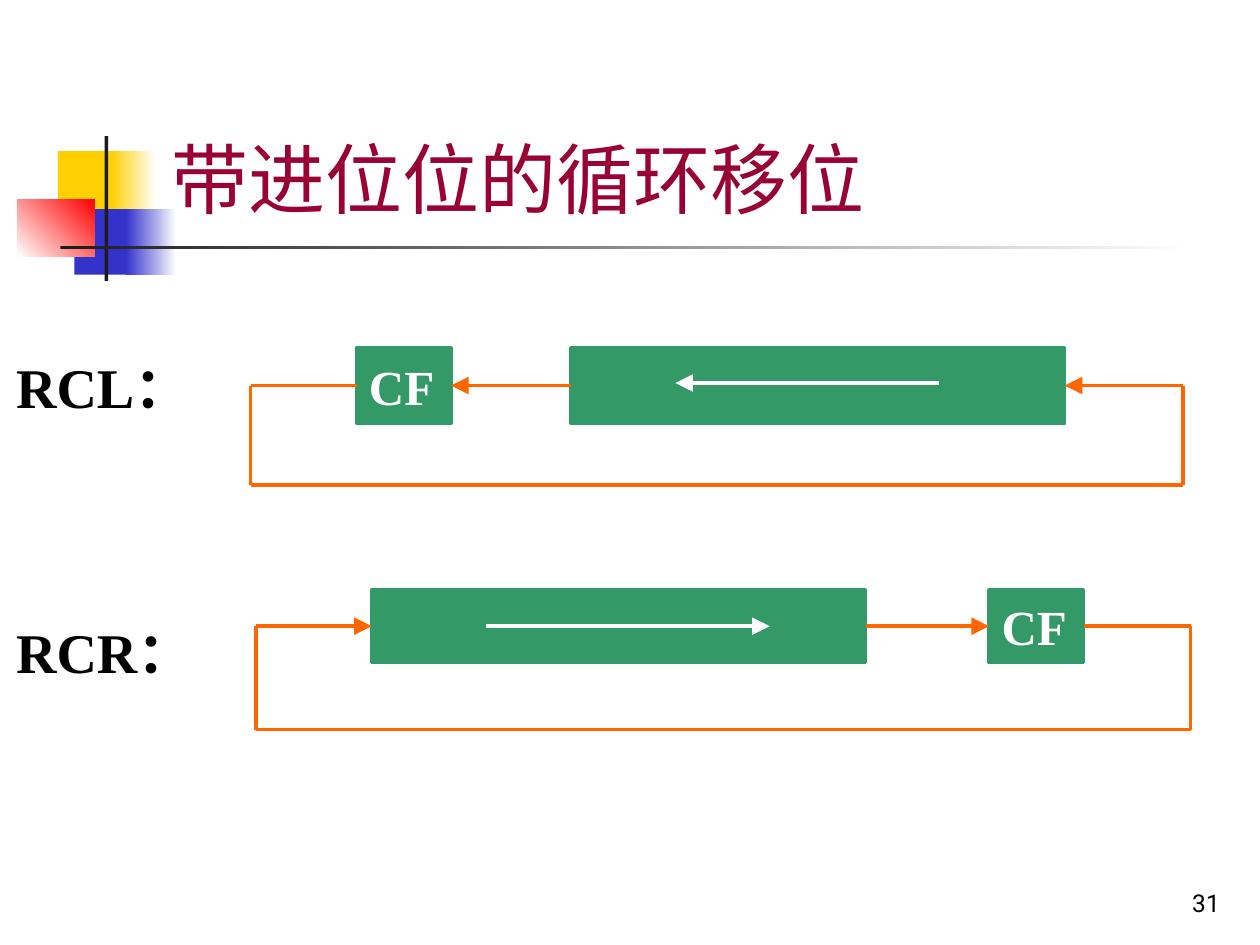
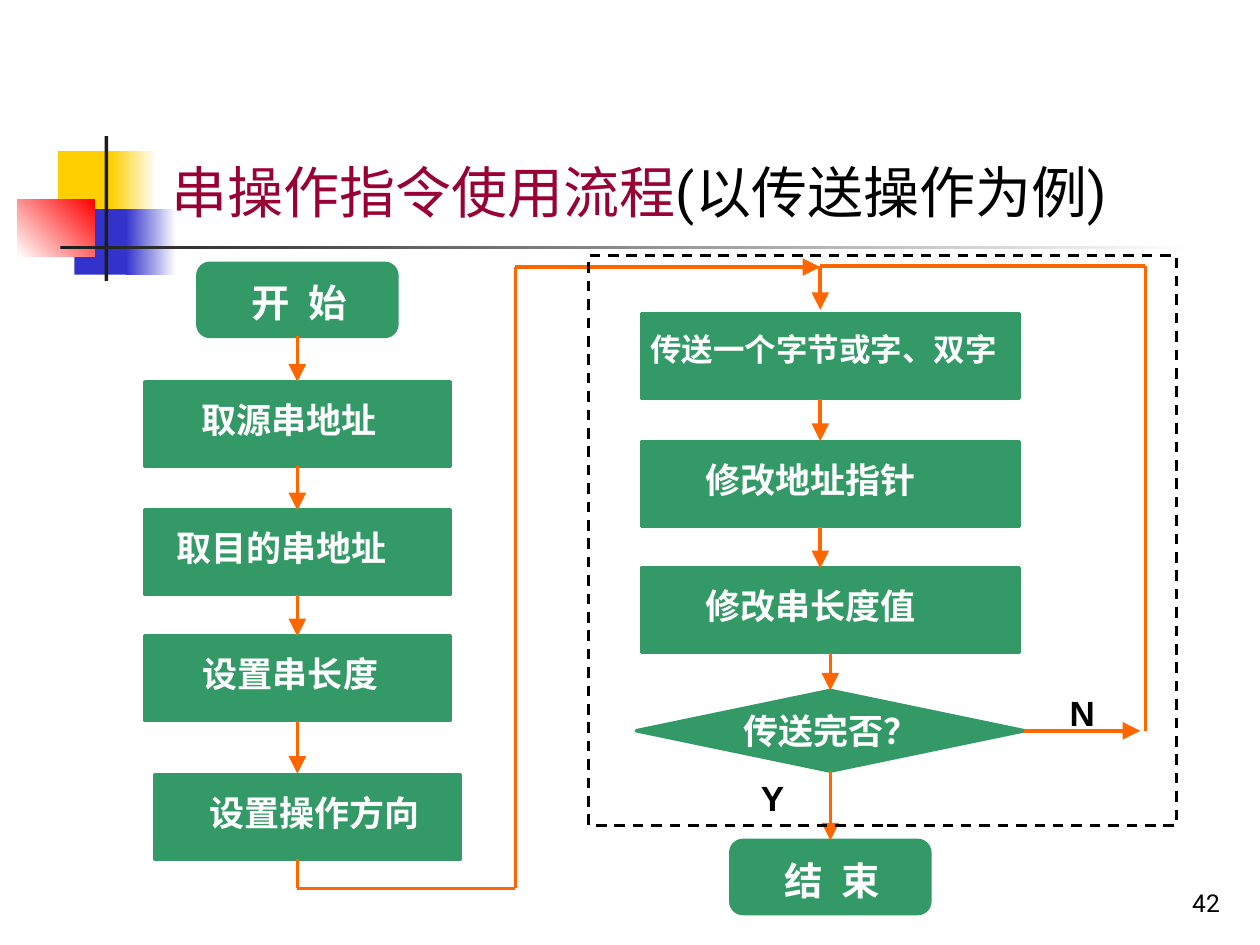
from dataclasses import dataclass
from itertools import pairwise
from typing import NamedTuple

from lxml.etree import SubElement
from pptx import Presentation
from pptx.dml.color import RGBColor
from pptx.enum.dml import MSO_LINE
from pptx.enum.shapes import MSO_CONNECTOR, MSO_SHAPE
from pptx.enum.text import MSO_ANCHOR, MSO_AUTO_SIZE, PP_ALIGN
from pptx.oxml.ns import qn
from pptx.shapes.autoshape import Shape
from pptx.shapes.connector import Connector
from pptx.slide import Slide, SlideLayout
from pptx.text.text import TextFrame, _Paragraph
from pptx.util import Inches, Pt

GREEN, ORANGE, WHITE, BLACK = "339966", "FF6600", "FFFFFF", "000000"
MAROON, YELLOW, BLUE, RED, CHARCOAL = "990033", "FFCF01", "3333CC", "FF0000", "1C1C1C"
TITLE_FONT, LABEL_FONT, SYMBOL_FONT = "Roboto", "Times New Roman", "Arial"
TOP, LEFT, BOTTOM, RIGHT = range(4)


class Box(NamedTuple):
    left: float
    top: float
    width: float
    height: float


class Point(NamedTuple):
    x: float
    y: float


class Site(NamedTuple):
    """The middle of one side of a shape."""
    shape: Shape
    side: int

    def point(self) -> Point:
        shape = self.shape
        across = {LEFT: 0, RIGHT: 1}.get(self.side, 0.5)
        down = {TOP: 0, BOTTOM: 1}.get(self.side, 0.5)
        return Point((shape.left + across * shape.width) / Inches(1),
                     (shape.top + down * shape.height) / Inches(1))


class TextRun(NamedTuple):
    text: str
    size: float
    color: str = WHITE
    font: str = LABEL_FONT
    bold: bool = True
    spacing: int = 0  # hundredths of a point


class Ornament(NamedTuple):
    box: Box
    start: str
    end: str = ""
    angle: float = 0


@dataclass
class Step:
    text: str
    box: Box
    inset: float
    size: float = 20
    geometry: MSO_SHAPE = MSO_SHAPE.RECTANGLE
    inset_top: float = 0.13
    spacing: int = 0


ORNAMENTS = [
    Ornament(Box(0.46, 1.2, 0.48, 0.52), YELLOW),
    Ornament(Box(0.88, 1.2, 0.36, 0.52), YELLOW, WHITE),
    Ornament(Box(0.59, 1.66, 0.46, 0.52), BLUE),
    Ornament(Box(1, 1.66, 0.4, 0.52), BLUE, WHITE),
    Ornament(Box(0.14, 1.58, 0.61, 0.46), WHITE, RED, 45),
    Ornament(Box(0.83, 1.08, 0.03, 1.15), CHARCOAL),
    Ornament(Box(0.48, 1.95, 9, 0.03), CHARCOAL, WHITE),
]


def rgb(color: str) -> RGBColor:
    return RGBColor.from_string(color)


def inches(box: Box) -> list[Inches]:
    return [Inches(value) for value in box]


def add_runs(paragraph: _Paragraph, runs: list[TextRun]) -> None:
    for item in runs:
        run = paragraph.add_run()
        run.text = item.text
        run.font.size = Pt(item.size)
        run.font.name = item.font
        run.font.bold = item.bold
        run.font.color.rgb = rgb(item.color)
        if item.spacing:
            run.font._element.set("spc", str(item.spacing))


def fill_frame(frame: TextFrame, runs: list[TextRun], anchor: MSO_ANCHOR = MSO_ANCHOR.TOP,
               alignment: PP_ALIGN = PP_ALIGN.LEFT) -> None:
    frame.word_wrap = True
    frame.auto_size = MSO_AUTO_SIZE.NONE
    frame.vertical_anchor = anchor
    frame.paragraphs[0].alignment = alignment
    add_runs(frame.paragraphs[0], runs)


def add_text(slide: Slide, box: Box, runs: list[TextRun], **options) -> None:
    fill_frame(slide.shapes.add_textbox(*inches(box)).text_frame, runs, **options)


def add_block(slide: Slide, box: Box, geometry: MSO_SHAPE = MSO_SHAPE.RECTANGLE) -> Shape:
    shape = slide.shapes.add_shape(geometry, *inches(box))
    shape.shadow.inherit = False
    shape.fill.solid()
    shape.fill.fore_color.rgb = rgb(GREEN)
    shape.line.color.rgb = rgb(GREEN)
    shape.line.width = Pt(2)
    return shape


def add_step(slide: Slide, step: Step) -> Shape:
    shape = add_block(slide, step.box, step.geometry)
    frame = shape.text_frame
    fill_frame(frame, [TextRun(step.text, step.size, spacing=step.spacing)])
    frame.margin_left, frame.margin_top = Inches(step.inset), Inches(step.inset_top)
    frame.margin_right = frame.margin_bottom = 0
    return shape


def add_line(slide: Slide, start: Point, end: Point, color: str, arrow: bool) -> Connector:
    line = slide.shapes.add_connector(
        MSO_CONNECTOR.STRAIGHT, *[Inches(value) for value in (*start, *end)])
    line.line.color.rgb = rgb(color)
    line.line.width = Pt(2)
    if arrow:
        SubElement(line.line._get_or_add_ln(), qn("a:tailEnd"), type="triangle", w="lg", len="lg")
    SubElement(line._element.spPr, qn("a:effectLst"))
    return line


def add_route(slide: Slide, *stops: Point | Site, color: str = ORANGE, arrow: bool = True) -> None:
    """Draw straight lines through the stops, joined to shapes at each Site."""
    last = len(stops) - 2
    for index, (start, end) in enumerate(pairwise(stops)):
        ends = [stop.point() if isinstance(stop, Site) else stop for stop in (start, end)]
        line = add_line(slide, *ends, color, arrow and index == last)
        if isinstance(start, Site):
            line.begin_connect(*start)
        if isinstance(end, Site):
            line.end_connect(*end)


def decorate_layout(layout: SlideLayout, slide: Slide) -> None:
    """Build the ornaments on the slide, then move them to its layout."""
    for position, ornament in enumerate(ORNAMENTS, start=2):
        shape = slide.shapes.add_shape(MSO_SHAPE.RECTANGLE, *inches(ornament.box))
        shape.shadow.inherit = False
        shape.line.fill.background()
        if ornament.end:
            shape.fill.gradient()
            shape.fill.gradient_angle = ornament.angle
            for stop, color in zip(shape.fill.gradient_stops, (ornament.start, ornament.end)):
                stop.color.rgb = rgb(color)
        else:
            shape.fill.solid()
            shape.fill.fore_color.rgb = rgb(ornament.start)
        layout.shapes._spTree.insert(position, shape._element)


def start_slide(slide: Slide, title_box: Box, title: list[TextRun], number: str) -> None:
    placeholder = slide.shapes.title
    placeholder.left, placeholder.top, placeholder.width, placeholder.height = inches(title_box)
    fill_frame(placeholder.text_frame, title, MSO_ANCHOR.BOTTOM)
    add_text(slide, Box(7.7, 6.83, 2.08, 0.5), [TextRun(number, 14, BLACK, TITLE_FONT, False)],
             anchor=MSO_ANCHOR.BOTTOM, alignment=PP_ALIGN.RIGHT)


def add_rotation(slide: Slide, name: str, name_top: float, register_box: Box,
                 flag_box: Box) -> tuple[Shape, Shape]:
    """Add the instruction name, the register and the carry flag."""
    add_text(slide, Box(0.03, name_top, 1.73, 0.64),
             [TextRun(name, 32, BLACK), TextRun("：", 32, BLACK, SYMBOL_FONT)])
    register = add_block(slide, register_box)
    flag = add_block(slide, flag_box)
    fill_frame(flag.text_frame, [TextRun("CF", 28)], MSO_ANCHOR.MIDDLE)
    return register, flag


def build_rotation_slide(slide: Slide) -> None:
    start_slide(slide, Box(1.26, 0.23, 8.52, 1.6),
                [TextRun("带进位位的循环移位", 44, MAROON, TITLE_FONT, False)], "31")

    register, flag = add_rotation(
        slide, "RCL", 2.75, Box(4.53, 2.76, 3.92, 0.6), Box(2.83, 2.76, 0.75, 0.6))
    add_route(slide, Point(7.45, 3.04), Point(5.36, 3.04), color=WHITE)
    add_route(slide, Site(register, LEFT), Site(flag, RIGHT))
    add_route(slide, Site(flag, LEFT), Point(1.99, 3.06), Point(1.99, 3.85),
              Point(9.39, 3.85), Point(9.39, 3.06), Site(register, RIGHT))

    register, flag = add_rotation(
        slide, "RCR", 4.85, Box(2.95, 4.68, 3.92, 0.58), Box(7.85, 4.68, 0.75, 0.58))
    add_route(slide, Point(3.86, 4.97), Point(6.11, 4.97), color=WHITE)
    add_route(slide, Site(register, RIGHT), Site(flag, LEFT))
    add_route(slide, Site(flag, RIGHT), Point(9.45, 4.97), Point(9.45, 5.79),
              Point(2.03, 5.79), Point(2.03, 4.97), Site(register, LEFT))


def build_string_slide(slide: Slide) -> None:
    start_slide(slide, Box(1.26, 0.78, 8.52, 1.05),
                [TextRun("串操作指令使用流程", 32, MAROON, TITLE_FONT, False),
                 TextRun("(以传送操作为例)", 32, BLACK, TITLE_FONT, False)], "42")

    terminal = {"inset": 0.4, "size": 22, "inset_top": 0.1, "spacing": 275,
                "geometry": MSO_SHAPE.FLOWCHART_ALTERNATE_PROCESS}
    setup = [add_step(slide, step) for step in (
        Step("开 始", Box(1.57, 2.09, 1.58, 0.58), **terminal),
        Step("取源串地址", Box(1.15, 3.03, 2.42, 0.67), 0.45),
        Step("取目的串地址", Box(1.15, 4.05, 2.42, 0.67), 0.25),
        Step("设置串长度", Box(1.15, 5.05, 2.42, 0.67), 0.46),
    )]
    add_step(slide, Step("设置操作方向", Box(1.23, 6.15, 2.42, 0.67), 0.43))
    transfer, pointer, length, decision, finish = [add_step(slide, step) for step in (
        Step("传送一个字节或字、双字", Box(5.09, 2.49, 3, 0.67), 0.07, 18),
        Step("修改地址指针", Box(5.09, 3.51, 3, 0.67), 0.51),
        Step("修改串长度值", Box(5.09, 4.51, 3, 0.67), 0.51),
        Step("", Box(5.05, 5.48, 3.08, 0.64), 0, geometry=MSO_SHAPE.FLOWCHART_DECISION),
        Step("结 束", Box(5.8, 6.67, 1.58, 0.58), **terminal),
    )]
    add_text(slide, Box(5.8, 5.58, 1.65, 0.43), [TextRun("传送完否？", 20)])

    for upper, lower in [*pairwise(setup), (length, decision), (decision, finish)]:
        add_route(slide, Site(upper, BOTTOM), Site(lower, TOP))
    setup_x, loop_x, loop_top = 2.36, 6.51, 2.11
    add_route(slide, Site(setup[-1], BOTTOM), Point(setup_x, 6.14))
    for start, end in ((loop_top, 2.46), (3.17, 3.5), (4.18, 4.51)):
        add_route(slide, Point(loop_x, start), Point(loop_x, end))
    add_route(slide, Point(setup_x, 6.82), Point(setup_x, 7.05), Point(4.09, 7.05),
              Point(4.09, 2.12), Point(loop_x, 2.12))
    add_route(slide, Site(decision, RIGHT), Point(9.05, 5.8))
    add_route(slide, Point(9.09, 5.8), Point(9.09, loop_top), Point(loop_x, loop_top), arrow=False)

    loop_frame = add_block(slide, Box(4.67, 2.03, 4.67, 4.52))
    loop_frame.fill.background()
    loop_frame.line.color.rgb = rgb(BLACK)
    loop_frame.line.width = Pt(1.5)
    loop_frame.line.dash_style = MSO_LINE.DASH
    for answer, left, top in (("N", 8.39, 5.44), ("Y", 5.94, 6.11)):
        add_text(slide, Box(left, top, 0.47, 0.43), [TextRun(answer, 20, BLACK, SYMBOL_FONT)])


def main() -> None:
    presentation = Presentation()
    presentation.slide_width, presentation.slide_height = Inches(10), Inches(7.5)
    layout = presentation.slide_layouts.get_by_name("Title Only")
    rotation_slide, string_slide = [presentation.slides.add_slide(layout) for _ in range(2)]
    decorate_layout(layout, rotation_slide)
    build_rotation_slide(rotation_slide)
    build_string_slide(string_slide)
    presentation.save("out.pptx")


if __name__ == "__main__":
    main()
